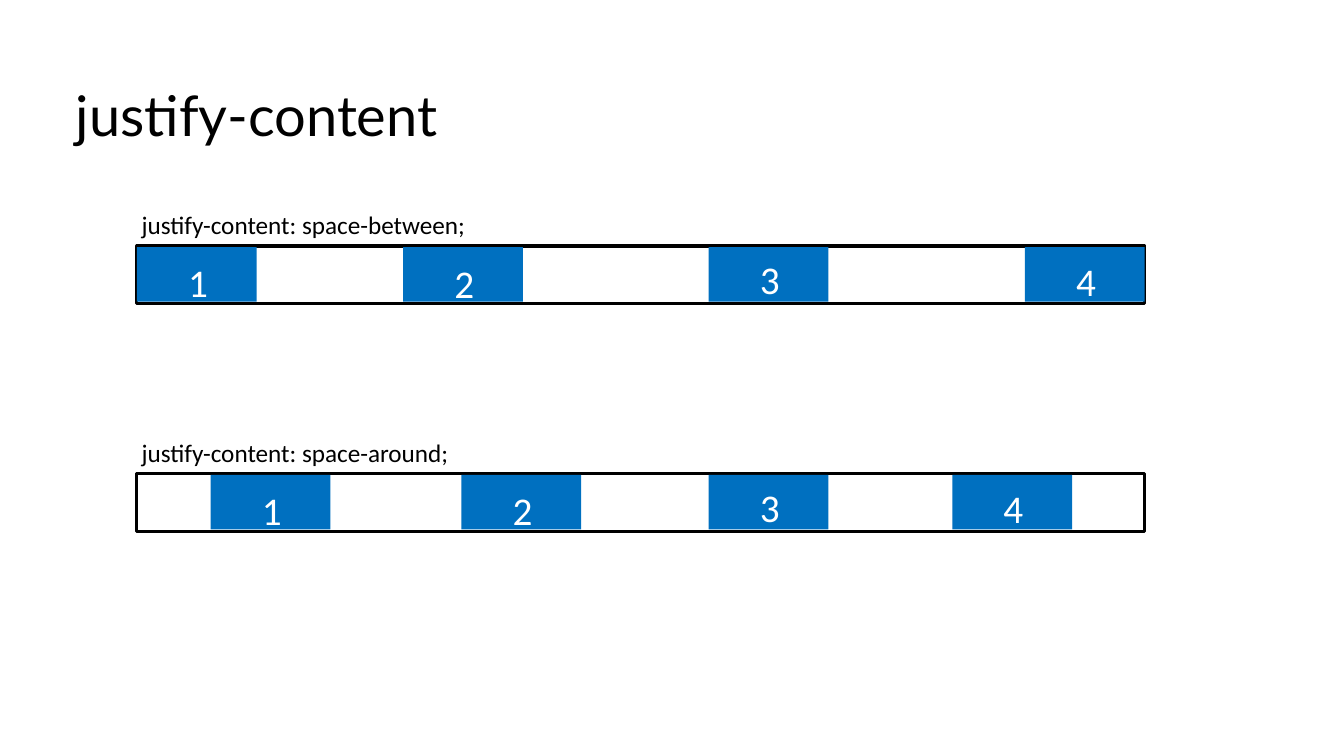
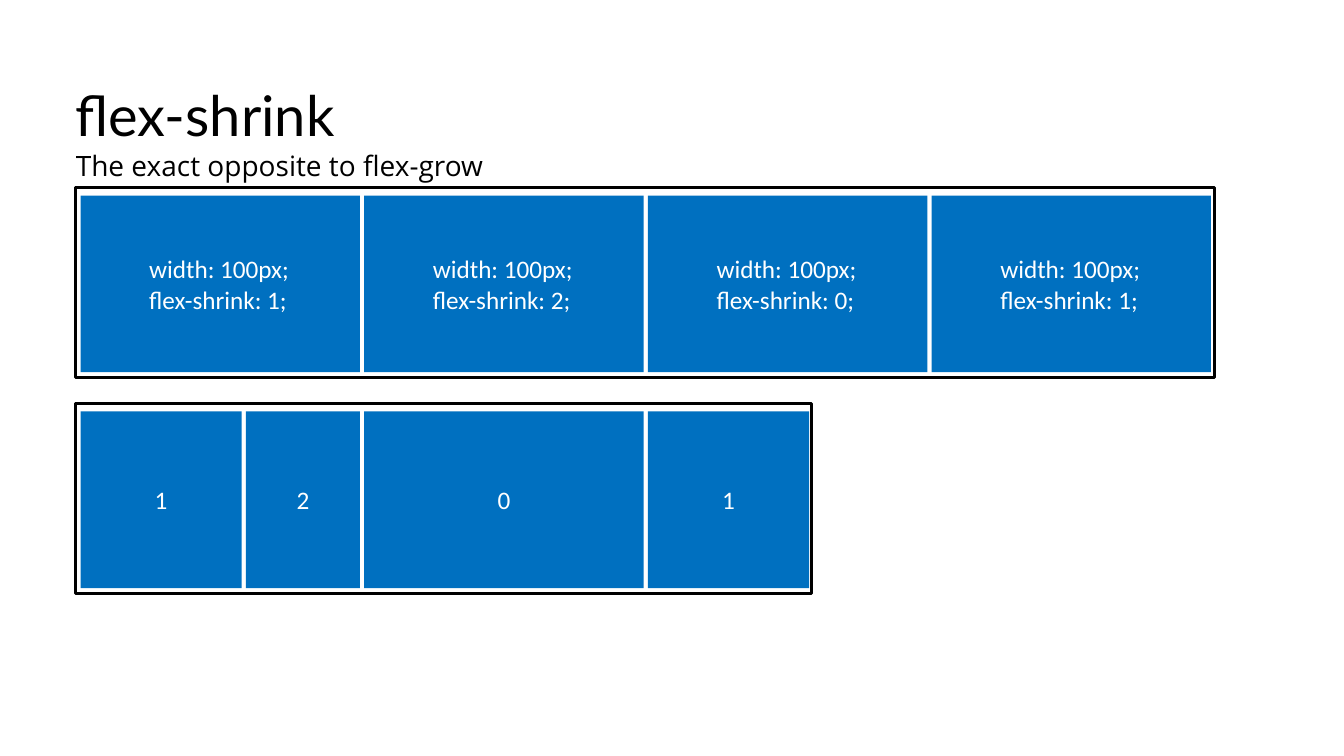
from dataclasses import dataclass
from typing import NamedTuple

from pptx import Presentation
from pptx.dml.color import RGBColor
from pptx.enum.shapes import MSO_SHAPE as Preset
from pptx.enum.text import MSO_ANCHOR as Anchor, MSO_AUTO_SIZE as Fit, PP_ALIGN as Align
from pptx.util import Cm, Pt


# Theme: colours, fonts and type sizes
@dataclass(frozen=True)
class Theme:
    ink: RGBColor = RGBColor(0x00, 0x00, 0x00)
    blue: RGBColor = RGBColor(0x00, 0x70, 0xC0)
    white: RGBColor = RGBColor(0xFF, 0xFF, 0xFF)
    head: str = "Lato"
    sub: str = "Open Sans"
    body: str = "Calibri"
    line: float = 2.25
    title: int = 40
    lead: int = 20
    digit: int = 28
    note: int = 18


THEME = Theme()


class Box(NamedTuple):
    """Left, top, width and height in centimetres."""
    left: float
    top: float
    width: float
    height: float

    def lengths(self) -> tuple:
        return tuple(Cm(side) for side in self)


class Style(NamedTuple):
    size: int
    color: RGBColor
    font: str = THEME.body
    align: Align = Align.LEFT


class Bar(NamedTuple):
    text: str
    top: float
    lefts: tuple


class Cell(NamedTuple):
    text: str
    width: float


class Row(NamedTuple):
    top: float
    width: float
    align: Align
    inset: float
    cells: tuple


# Shared drawing functions
def assign(item, values: dict) -> None:
    for name, value in values.items():
        setattr(item, name, value)


def write(frame, text: str, *styles: Style) -> None:
    """Fill a frame, one paragraph a line; the last style is kept on."""
    for index, line in enumerate(text.split("\n")):
        style = styles[min(index, len(styles) - 1)]
        para = frame.paragraphs[0] if index == 0 else frame.add_paragraph()
        para.alignment = style.align
        run = para.add_run()
        run.text = line
        assign(run.font, {"size": Pt(style.size), "name": style.font})
        run.font.color.rgb = style.color


def start(deck, text: str):
    """Add a slide with its title."""
    slide = deck.slides.add_slide(deck.slide_layouts[5])
    title = slide.shapes.title
    sides = ("left", "top", "width", "height")
    assign(title, dict(zip(sides, Box(1.91, 1.91, 30.05, 13.34).lengths())))
    assign(title.text_frame, {
        "auto_size": Fit.NONE, "word_wrap": True,
        "vertical_anchor": Anchor.TOP, "margin_left": 0,
    })
    write(title.text_frame, text,
          Style(THEME.title, THEME.ink, THEME.head),
          Style(THEME.lead, THEME.ink, THEME.sub))
    return slide


def rect(slide, box: Box, filled: bool = True):
    """Draw a blue block, or an empty black frame."""
    shape = slide.shapes.add_shape(Preset.RECTANGLE, *box.lengths())
    shape.shadow.inherit = False
    if filled:
        shape.fill.solid()
        shape.fill.fore_color.rgb = THEME.blue
        shape.line.fill.background()
    else:
        shape.fill.background()
        shape.line.color.rgb = THEME.ink
        shape.line.width = Pt(THEME.line)
    return shape


def label(slide, box: Box, text: str, style: Style) -> None:
    frame = slide.shapes.add_textbox(*box.lengths()).text_frame
    frame.word_wrap = True
    write(frame, text, style)


# Slide 1: numbered blocks spread along a bar
BARS = (
    Bar("justify-content: space-between;", 6.2, (3.45, 10.16, 17.86, 25.83)),
    Bar("justify-content: space-around;", 11.94, (5.31, 11.63, 17.86, 24)),
)
DROPS = (0.19, 0.2, 0.11, 0.15)


def draw_bar(slide, bar: Bar) -> None:
    rect(slide, Box(3.45, bar.top, 25.4, 1.45), filled=False)
    digit = Style(THEME.digit, THEME.white, align=Align.CENTER)
    for number, (left, drop) in enumerate(zip(bar.lefts, DROPS), 1):
        rect(slide, Box(left, bar.top + 0.03, 3.02, 1.37))
        label(slide, Box(left + 0.03, bar.top + drop, 3.02, 1.45), str(number), digit)
    label(slide, Box(3.32, bar.top - 1.04, 10, 1.02), bar.text,
          Style(THEME.note, THEME.ink))


# Slide 2: cells at full width, then shrunk
FULL = 7.04
GAP = 0.11
ROWS = (
    Row(4.72, 28.7, Align.LEFT, 1.73, tuple(
        Cell(f"width: 100px;\nflex-shrink: {rate};", FULL) for rate in (1, 2, 0, 1))),
    Row(10.16, 18.54, Align.CENTER, 0.25, (
        Cell("1", 4.06), Cell("2", 2.87), Cell("0", FULL), Cell("1", 4.06))),
)


def draw_row(slide, row: Row) -> None:
    rect(slide, Box(1.91, row.top, row.width, 4.8), filled=False)
    left = 2.03
    for cell in row.cells:
        frame = rect(slide, Box(left, row.top + 0.21, cell.width, 4.45)).text_frame
        assign(frame, {
            "word_wrap": True, "vertical_anchor": Anchor.MIDDLE,
            "margin_left": Cm(row.inset),
        })
        write(frame, cell.text, Style(THEME.note, THEME.white, align=row.align))
        left += cell.width + GAP


def main() -> None:
    deck = Presentation()
    assign(deck, {"slide_width": Cm(33.87), "slide_height": Cm(19.05)})

    slide = start(deck, "justify-content")
    for bar in BARS:
        draw_bar(slide, bar)

    slide = start(deck, "flex-shrink\nThe exact opposite to flex-grow")
    for row in ROWS:
        draw_row(slide, row)

    deck.save("out.pptx")


if __name__ == "__main__":
    main()
